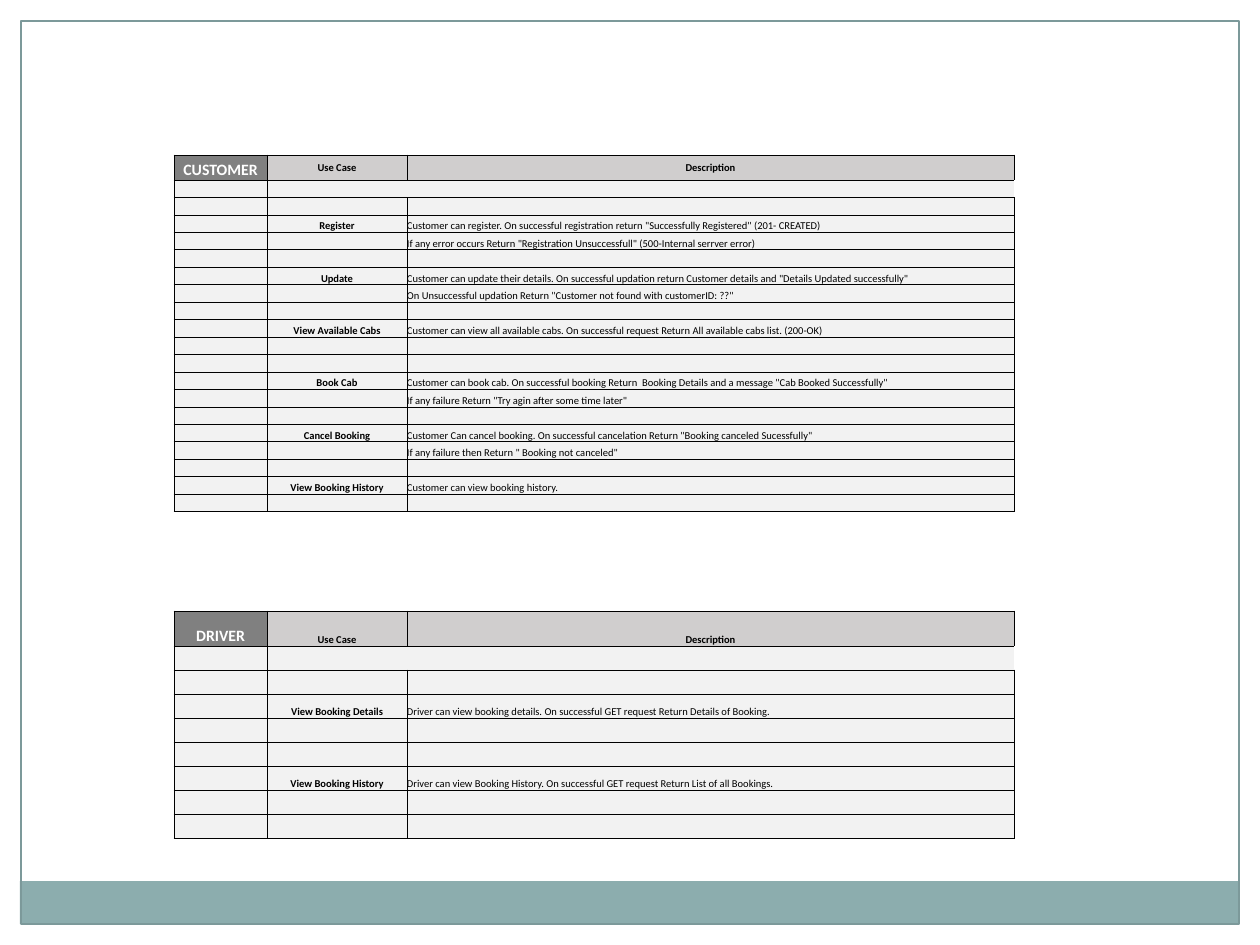
from lxml import etree
from pptx import Presentation
from pptx.dml.color import RGBColor
from pptx.enum.shapes import MSO_SHAPE as Shape
from pptx.enum.text import MSO_ANCHOR as Anchor, PP_ALIGN as Align
from pptx.oxml.ns import qn
from pptx.util import Emu, Pt

COLORS = {
    "white": "FFFFFF", "band": "8CADAE", "frame": "7C999A", "black": "000000",
    "role": "808080", "header": "D0CECE", "body": "F2F2F2",
}
COLUMN_WIDTHS = [93, 140, 607]
TABLE_LEFT = 174

# Each table: role, top, header height, body height, row count, header anchor,
# and its texts as {row: (use case, description)}.
TABLES = [
    ("CUSTOMER", 155, 25, 332, 20, Anchor.MIDDLE, {
        3: ("Register", 'Customer can register. On successful registration return "Successfully Registered" (201- CREATED)'),
        4: ("", 'If any error occurs Return "Registration Unsuccessfull" (500-Internal serrver error)'),
        6: ("Update", 'Customer can update their details. On successful updation return Customer details and "Details Updated successfully"'),
        7: ("", 'On Unsuccessful updation Return "Customer not found with customerID: ??"'),
        9: ("View Available Cabs", "Customer can view all available cabs. On successful request Return All available cabs list. (200-OK)"),
        12: ("Book Cab", 'Customer can book cab. On successful booking Return  Booking Details and a message "Cab Booked Successfully"'),
        13: ("", 'If any failure Return "Try agin after some time later"'),
        15: ("Cancel Booking", 'Customer Can cancel booking. On successful cancelation Return "Booking canceled Sucessfully"'),
        16: ("", 'If any failure then Return " Booking not canceled"'),
        18: ("View Booking History", "Customer can view booking history."),
    }),
    ("DRIVER", 611, 35, 193, 9, Anchor.BOTTOM, {
        3: ("View Booking Details", "Driver can view booking details. On successful GET request Return Details of Booking."),
        6: ("View Booking History", "Driver can view Booking History. On successful GET request Return List of all Bookings."),
    }),
]


def px(length):
    return Emu(round(length * 914400 / 126))


def set_borders(cell, hidden):
    """Draw thin black borders, leaving out the sides named in hidden."""
    properties = cell._tc.get_or_add_tcPr()
    for side in "LRTB":
        line = etree.SubElement(properties, qn(f"a:ln{side}"), w=str(Pt(0.5)))
        if side in hidden:
            etree.SubElement(line, qn("a:noFill"))
        else:
            fill = etree.SubElement(line, qn("a:solidFill"))
            etree.SubElement(fill, qn("a:srgbClr"), val=COLORS["black"])


presentation = Presentation()
presentation.slide_width, presentation.slide_height = px(1260), px(945)
slide = presentation.slides.add_slide(presentation.slide_layouts[6])

# White margins, bottom band and frame
for left, top, width, height, fill, line in [
    (0, 0, 1260, 21, "white", None),
    (1239, 0, 21, 945, "white", None),
    (0, 0, 21, 945, "white", None),
    (20, 881, 1218, 43, "band", None),
    (21, 21, 1218, 903, None, "frame"),
]:
    shape = slide.shapes.add_shape(Shape.RECTANGLE, px(left), px(top), px(width), px(height))
    shape.shadow.inherit = False
    if fill:
        shape.fill.solid()
        shape.fill.fore_color.rgb = RGBColor.from_string(COLORS[fill])
    else:
        shape.fill.background()
    if line:
        shape.line.color.rgb = RGBColor.from_string(COLORS[line])
        shape.line.width = Pt(0.75)
    else:
        shape.line.fill.background()

for role, top, header_height, body_height, row_count, header_anchor, entries in TABLES:
    table = slide.shapes.add_table(
        row_count, len(COLUMN_WIDTHS), px(TABLE_LEFT), px(top),
        px(sum(COLUMN_WIDTHS)), px(header_height + body_height)).table
    table.first_row = table.horz_banding = False
    for column, width in zip(table.columns, COLUMN_WIDTHS):
        column.width = px(width)

    for row_index, row in enumerate(table.rows):
        is_header = row_index == 0
        row.height = px(header_height if is_header else body_height / (row_count - 1))
        texts = (role, "Use Case", "Description") if is_header else ("", *entries.get(row_index, ("", "")))

        for column_index, (cell, text) in enumerate(zip(row.cells, texts)):
            is_role = is_header and column_index == 0
            # The row below the header is open across its last two columns.
            hidden = ("", "R", "LR")[column_index] if row_index == 1 else ""
            set_borders(cell, hidden)
            cell.fill.solid()
            fill = "role" if is_role else "header" if is_header else "body"
            cell.fill.fore_color.rgb = RGBColor.from_string(COLORS[fill])
            cell.margin_left = cell.margin_right = cell.margin_top = cell.margin_bottom = 0
            cell.vertical_anchor = header_anchor if is_header and not is_role else Anchor.BOTTOM

            paragraph = cell.text_frame.paragraphs[0]
            if not text:
                # The end mark's size keeps an empty row from growing.
                paragraph._p.get_or_add_endParaRPr().set("sz", "600")
                continue
            paragraph.text = text
            paragraph.alignment = Align.CENTER if is_header or column_index < 2 else Align.LEFT
            font = paragraph.font
            font.name = "Calibri"
            font.size = Pt(9 if is_role else 6)
            font.bold = is_header or column_index < 2
            font.color.rgb = RGBColor.from_string(COLORS["white" if is_role else "black"])

presentation.save("out.pptx")
